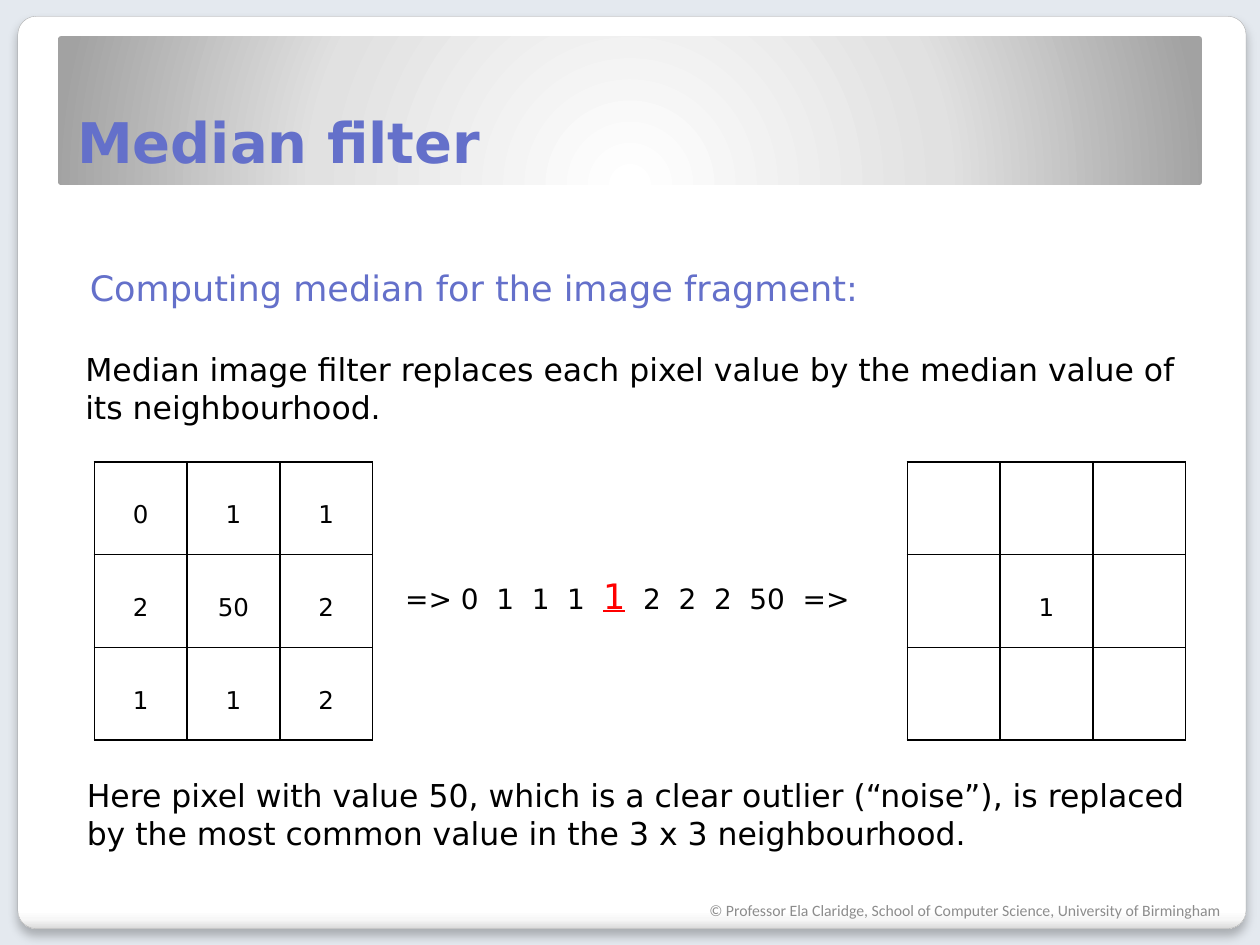
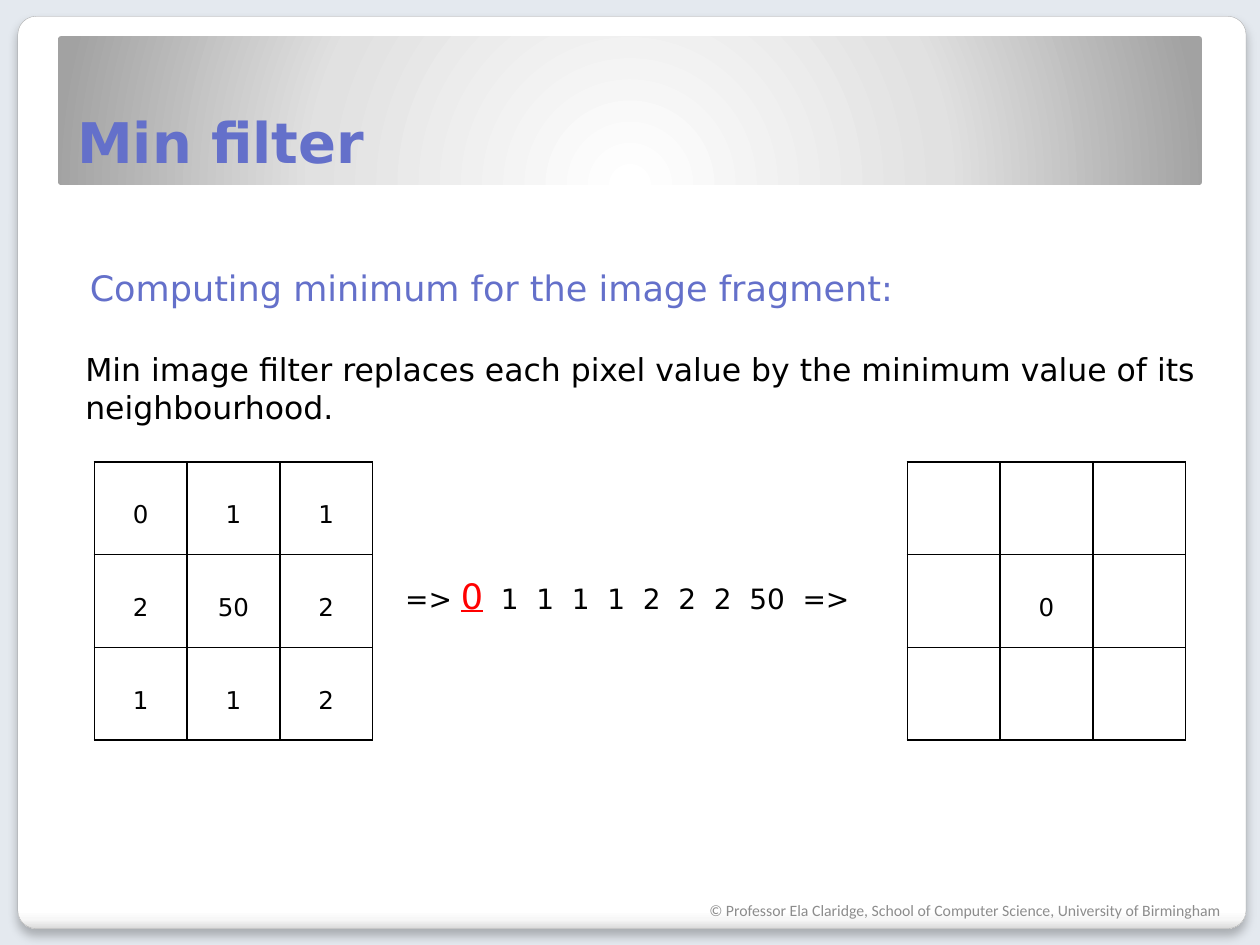
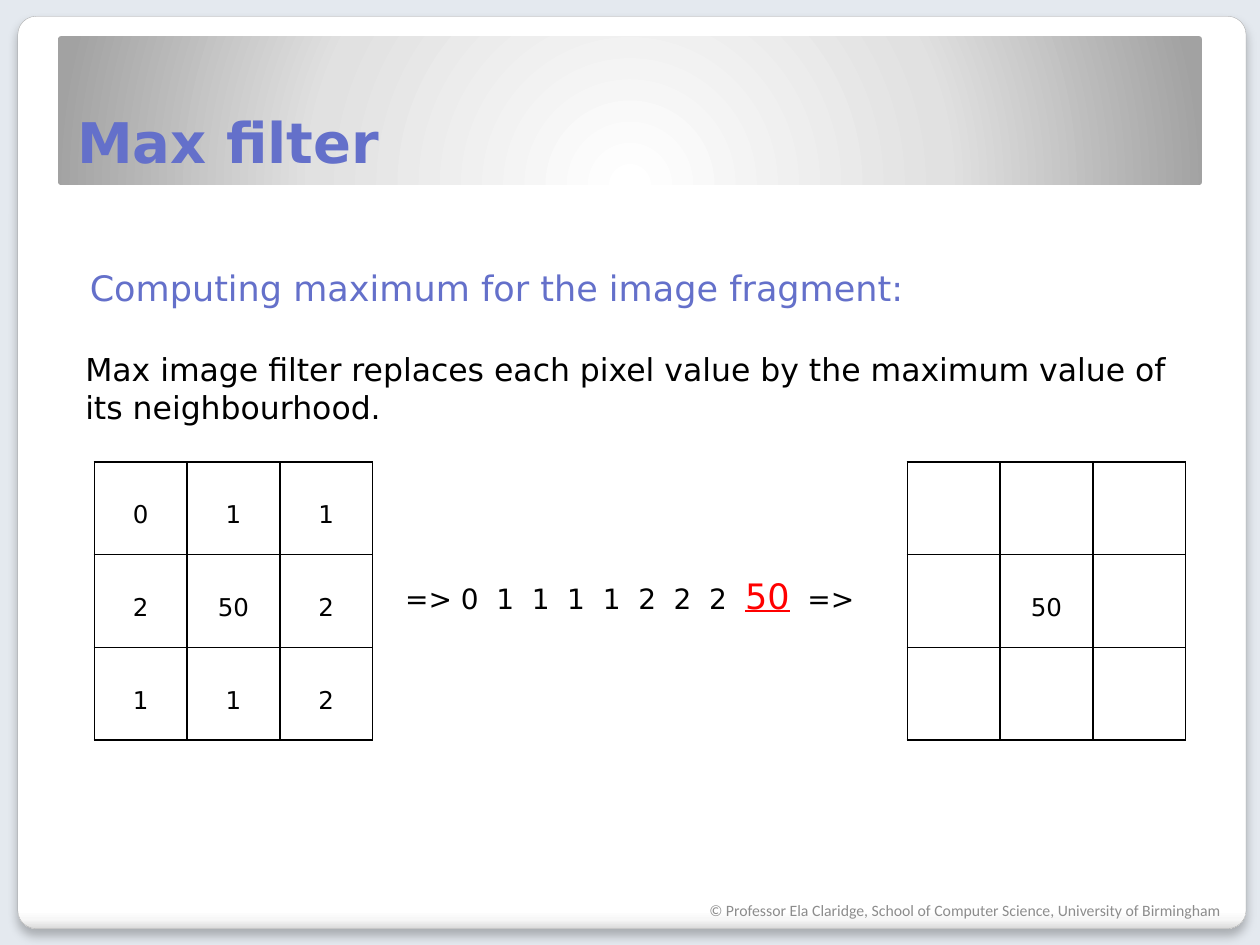
import pptx
import pptx.dml.color
import pptx.enum.shapes
import pptx.enum.text
import pptx.oxml
import pptx.oxml.ns
import pptx.util

Cm = pptx.util.Cm
Pt = pptx.util.Pt
ANCHOR = pptx.enum.text.MSO_ANCHOR
ALIGN = pptx.enum.text.PP_ALIGN
NS = pptx.oxml.ns.nsdecls("a")

# Shared text formats
BASE = {"name": "DejaVu Sans", "color": "000000"}
TITLE = {**BASE, "size": Pt(32), "bold": True, "color": "6470CA"}
LEAD = {**BASE, "size": Pt(20), "color": "6470CA"}
BODY = {**BASE, "size": Pt(18)}
SEQUENCE = {**BASE, "size": Pt(16)}
PICKED = {**BASE, "size": Pt(20), "color": "FF0000", "underline": True}
PIXEL = {**BASE, "size": Pt(14)}
FOOTER = {"name": "Calibri", "size": Pt(9), "color": "8C8C8C"}

# Content
CREDIT = "© Professor Ela Claridge, School of Computer Science, University of Birmingham"
FRAGMENT = [[0, 1, 1], [2, 50, 2], [1, 1, 2]]
CELL = 1.87
GRID_TOP = 9.31
# Filter name, statistic, rank of the chosen pixel, closing remark
FILTERS = [
    ("Median", "median", 4,
     "Here pixel with value 50, which is a clear outlier (“noise”), is replaced "
     "by the most common value in the 3 x 3 neighbourhood."),
    ("Min", "minimum", 0, None),
    ("Max", "maximum", 8, None),
]


def rgb(value):
    return pptx.dml.color.RGBColor.from_string(value)


def set_font(font, fmt):
    for key, value in fmt.items():
        if key == "color":
            font.color.rgb = rgb(value)
        else:
            setattr(font, key, value)


def add_run(p, text, fmt):
    r = p.add_run()
    r.text = text
    set_font(r.font, fmt)


def place(sp, box):
    for key, value in zip(("left", "top", "width", "height"), box):
        setattr(sp, key, Cm(value))


def add_text(slide, box, runs):
    sp = slide.shapes.add_textbox(*map(Cm, box))
    tf = sp.text_frame
    tf.word_wrap = True
    for text, fmt in runs:
        add_run(tf.paragraphs[0], text, fmt)


def add_panel(slide, layout, index, box, stops, direction):
    """Gradient rounded panel, placed behind the layout's placeholders."""
    sp = slide.shapes.add_shape(
        pptx.enum.shapes.MSO_SHAPE.ROUNDED_RECTANGLE, *map(Cm, box))
    sp.adjustments[0] = 0.02
    sp.shadow.inherit = False
    sp.line.fill.background()
    gs = "".join(f'<a:gs pos="{pos * 1000}"><a:srgbClr val="{color}"/></a:gs>'
                 for pos, color in stops)
    sp.element.spPr.insert(2, pptx.oxml.parse_xml(
        f'<a:gradFill {NS} rotWithShape="1"><a:gsLst>{gs}</a:gsLst>{direction}</a:gradFill>'))
    layout.shapes.element.insert(2 + index, sp.element)
    return sp


def build_layout(prs, slide):
    """Background, card, title band and placeholder places for all slides."""
    layout = slide.slide_layout
    fill = prs.slide_master.background.fill
    fill.solid()
    fill.fore_color.rgb = rgb("E4E9EF")

    card = add_panel(
        slide, layout, 0, (0.36, 0.33, 24.76, 18.39),
        [(0, "FFFFFF"), (98, "FFFFFF"), (99, "F7F7F7"), (100, "DADADA")],
        '<a:lin ang="5400000" scaled="0"/>')
    card.line.color.rgb = rgb("A4A4A4")
    card.line.width = Pt(0.16)
    effects = card.element.spPr.find(pptx.oxml.ns.qn("a:effectLst"))
    effects.append(pptx.oxml.parse_xml(
        f'<a:outerShdw {NS} blurRad="{Pt(6)}" dist="{Pt(4)}" dir="5400000">'
        '<a:srgbClr val="000000"><a:alpha val="25000"/></a:srgbClr></a:outerShdw>'))

    add_panel(
        slide, layout, 1, (1.17, 0.73, 23.06, 3),
        [(0, "FFFFFF"), (55, "E1E1E1"), (100, "A2A2A2")],
        '<a:path path="circle">'
        '<a:fillToRect l="50000" t="175000" r="50000" b="-75000"/></a:path>')

    place(layout.placeholders[0], (1.3, 0.73, 22.73, 2.93))
    place(layout.placeholders[1], (1.3, 5.13, 22.73, 1.6))


def fill_placeholder(sp, text, fmt, frame):
    tf = sp.text_frame
    for key, value in frame.items():
        setattr(tf, key, value)
    tf.auto_size = pptx.enum.text.MSO_AUTO_SIZE.NONE
    p = tf.paragraphs[0]
    p.alignment = ALIGN.LEFT
    p.space_before = Pt(0)
    pPr = p._p.get_or_add_pPr()
    pPr.set("marL", "0")
    pPr.set("indent", "0")
    pPr.append(pptx.oxml.parse_xml(f"<a:buNone {NS}/>"))
    add_run(p, text, fmt)


def set_borders(cell):
    tcPr = cell._tc.get_or_add_tcPr()
    for i, side in enumerate(("lnL", "lnR", "lnT", "lnB")):
        tcPr.insert(i, pptx.oxml.parse_xml(
            f'<a:{side} {NS} w="{Pt(1)}"><a:solidFill><a:srgbClr val="000000"/>'
            f'</a:solidFill></a:{side}>'))


def add_grid(slide, left, values):
    side = CELL * len(values)
    table = slide.shapes.add_table(
        len(values), len(values[0]), Cm(left), Cm(GRID_TOP), Cm(side), Cm(side)).table
    table.first_row = table.horz_banding = False
    for line in (*table.columns, *table.rows):
        setattr(line, "width" if hasattr(line, "width") else "height", Cm(CELL))
    for i, row in enumerate(values):
        for j, value in enumerate(row):
            cell = table.cell(i, j)
            cell.fill.background()
            set_borders(cell)
            cell.vertical_anchor = ANCHOR.MIDDLE
            if value is not None:
                p = cell.text_frame.paragraphs[0]
                p.alignment = ALIGN.CENTER
                p.line_spacing = 1.5
                add_run(p, str(value), PIXEL)


def add_sequence(slide, rank):
    """Sorted pixel values with the chosen one highlighted; returns that value."""
    pixels = sorted(value for row in FRAGMENT for value in row)
    before = "".join(f"{value}  " for value in pixels[:rank])
    after = "".join(f"  {value}" for value in pixels[rank + 1:])
    add_text(slide, (7.92, 11.46, 10.19, 1.12), [
        (f"=> {before}", SEQUENCE),
        (str(pixels[rank]), PICKED),
        (f"{after}  =>", SEQUENCE)])
    return pixels[rank]


def add_filter(slide, name, statistic, rank, remark):
    title, body = slide.placeholders
    fill_placeholder(title, f"{name} filter", TITLE, {"vertical_anchor": ANCHOR.BOTTOM})
    fill_placeholder(body, f"Computing {statistic} for the image fragment:", LEAD,
                     {"margin_left": Cm(0.51), "margin_top": Cm(0.25)})
    add_grid(slide, 1.9, FRAGMENT)
    add_text(slide, (1.47, 6.93, 23.19, 1.8), [
        (f"{name} image filter replaces each pixel value by the {statistic} value "
         "of its neighbourhood.", BODY)])
    chosen = add_sequence(slide, rank)
    empty = [None] * 3
    add_grid(slide, 18.29, [empty, [None, chosen, None], empty])
    if remark:
        add_text(slide, (1.5, 15.52, 23.19, 1.8), [(remark, BODY)])
    add_text(slide, (14.05, 18.03, 11.07, 1.02), [(CREDIT, FOOTER)])


def main():
    prs = pptx.Presentation()
    prs.slide_width, prs.slide_height = Cm(25.4), Cm(19.05)
    slides = [prs.slides.add_slide(prs.slide_layouts[1]) for _ in FILTERS]
    build_layout(prs, slides[0])
    for slide, content in zip(slides, FILTERS):
        add_filter(slide, *content)
    prs.save("out.pptx")


if __name__ == "__main__":
    main()
